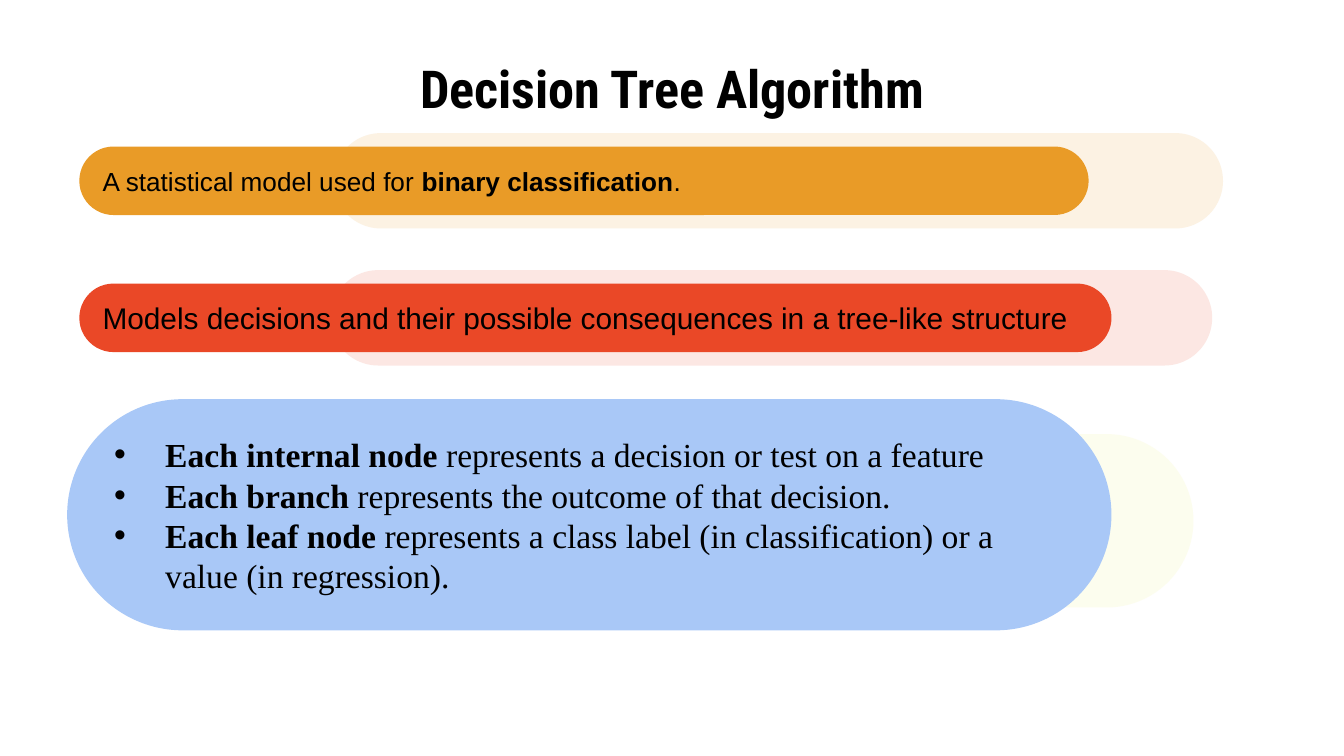
"""Build the Decision Tree Algorithm slide with its layered pills."""
from lxml import etree
from pptx import Presentation
from pptx import util as u
from pptx.dml.color import RGBColor
from pptx.enum import shapes, text
from pptx.oxml.ns import qn

TITLE = "Decision Tree Algorithm"
PILLS = [
    {"color": "orange", "style": "summary", "bullets": False,
     "back": (2.48, 0.99, 6.62, 0.71), "front": (0.59, 1.09, 7.51, 0.51),
     "lines": [[("A statistical model used for ", False),
                ("binary classification", True), (".", False)]]},
    {"color": "blue", "back_color": "yellow", "style": "nodes", "bullets": True,
     "back": (2.36, 3.23, 6.52, 1.29), "front": (0.5, 2.97, 7.77, 1.72),
     "lines": [
         [("Each internal node", True),
          (" represents a decision or test on a feature", False)],
         [("Each branch", True),
          (" represents the outcome of that decision.", False)],
         [("Each leaf node", True),
          (" represents a class label (in classification) or a value (in regression).", False)]]},
    {"color": "red", "style": "structure", "bullets": False,
     "back": (2.46, 2.01, 6.56, 0.71), "front": (0.59, 2.11, 7.68, 0.51),
     "lines": [[("Models decisions and their possible consequences in a tree-like structure", False)]]},
]
SLIDE_WIDTH = u.Inches(10)
SLIDE_HEIGHT = SLIDE_WIDTH * 9 // 16
THEME = {
    "colors": {"ink": "000000", "orange": "E99B27", "red": "EA4827",
               "blue": "A9C8F7", "yellow": "EFF27D"},
    "type": {"title": ("Roboto Condensed", 28), "summary": ("Arial", 14),
             "structure": ("Arial", 16), "nodes": ("Times New Roman", 18)},
    "back_opacity": 13,
    "indent": 0.38,
    "tab": 0.5,
}
FRAME = {
    "word_wrap": True,
    "auto_size": text.MSO_AUTO_SIZE.NONE,
    "vertical_anchor": text.MSO_ANCHOR.MIDDLE,
    **{f"margin_{side}": u.Inches(0.1) for side in ("left", "top", "right", "bottom")},
}


def apply(target, values):
    for name, value in values.items():
        setattr(target, name, value)


def color(name):
    return RGBColor.from_string(THEME["colors"][name])


def add_run(paragraph, words, style, bold):
    run = paragraph.add_run()
    run.text = words
    name, size = THEME["type"][style]
    apply(run.font, {"name": name, "size": u.Pt(size), "bold": bold})
    run.font.color.rgb = color("ink")


def add_bullet(paragraph):
    properties = paragraph._p.get_or_add_pPr()
    indent = u.Inches(THEME["indent"])
    properties.set("marL", str(indent))
    properties.set("indent", str(-indent))
    bullet_color = etree.SubElement(properties, qn("a:buClr"))
    etree.SubElement(bullet_color, qn("a:srgbClr"), val=THEME["colors"]["ink"])
    etree.SubElement(properties, qn("a:buFont"), typeface="Arial")
    etree.SubElement(properties, qn("a:buChar"), char="•")
    tabs = etree.SubElement(properties, qn("a:tabLst"))
    etree.SubElement(tabs, qn("a:tab"), pos=str(u.Inches(THEME["tab"])), algn="l")


def add_pill(slide, box, fill, opacity=100):
    shape = slide.shapes.add_shape(
        shapes.MSO_SHAPE.ROUNDED_RECTANGLE, *map(u.Inches, box))
    shape.adjustments[0] = 0.5
    shape.shadow.inherit = False
    shape.fill.solid()
    shape.fill.fore_color.rgb = color(fill)
    shape.line.fill.background()
    if opacity < 100:
        tint = shape._element.spPr.find(qn("a:solidFill"))[0]
        etree.SubElement(tint, qn("a:alpha"), val=str(opacity * 1000))
    return shape


def write_lines(shape, pill):
    frame = shape.text_frame
    apply(frame, FRAME)
    for index, line in enumerate(pill["lines"]):
        paragraph = frame.add_paragraph() if index else frame.paragraphs[0]
        paragraph.alignment = text.PP_ALIGN.LEFT
        if pill["bullets"]:
            add_bullet(paragraph)
        for words, bold in line:
            add_run(paragraph, words, pill["style"], bold)


def add_title(slide):
    title = slide.shapes.title
    apply(title, {"left": u.Inches(0.5), "top": u.Inches(0.45),
                  "width": u.Inches(9), "height": u.Inches(0.41)})
    apply(title.text_frame, FRAME)
    paragraph = title.text_frame.paragraphs[0]
    paragraph.alignment = text.PP_ALIGN.CENTER
    add_run(paragraph, TITLE, "title", True)


def main():
    presentation = Presentation()
    apply(presentation, {"slide_width": SLIDE_WIDTH, "slide_height": SLIDE_HEIGHT})
    slide = presentation.slides.add_slide(presentation.slide_layouts.get_by_name("Title Only"))
    add_title(slide)
    for pill in PILLS:
        add_pill(slide, pill["back"], pill.get("back_color", pill["color"]),
                 THEME["back_opacity"])
        write_lines(add_pill(slide, pill["front"], pill["color"]), pill)
    presentation.save("out.pptx")


if __name__ == "__main__":
    main()
